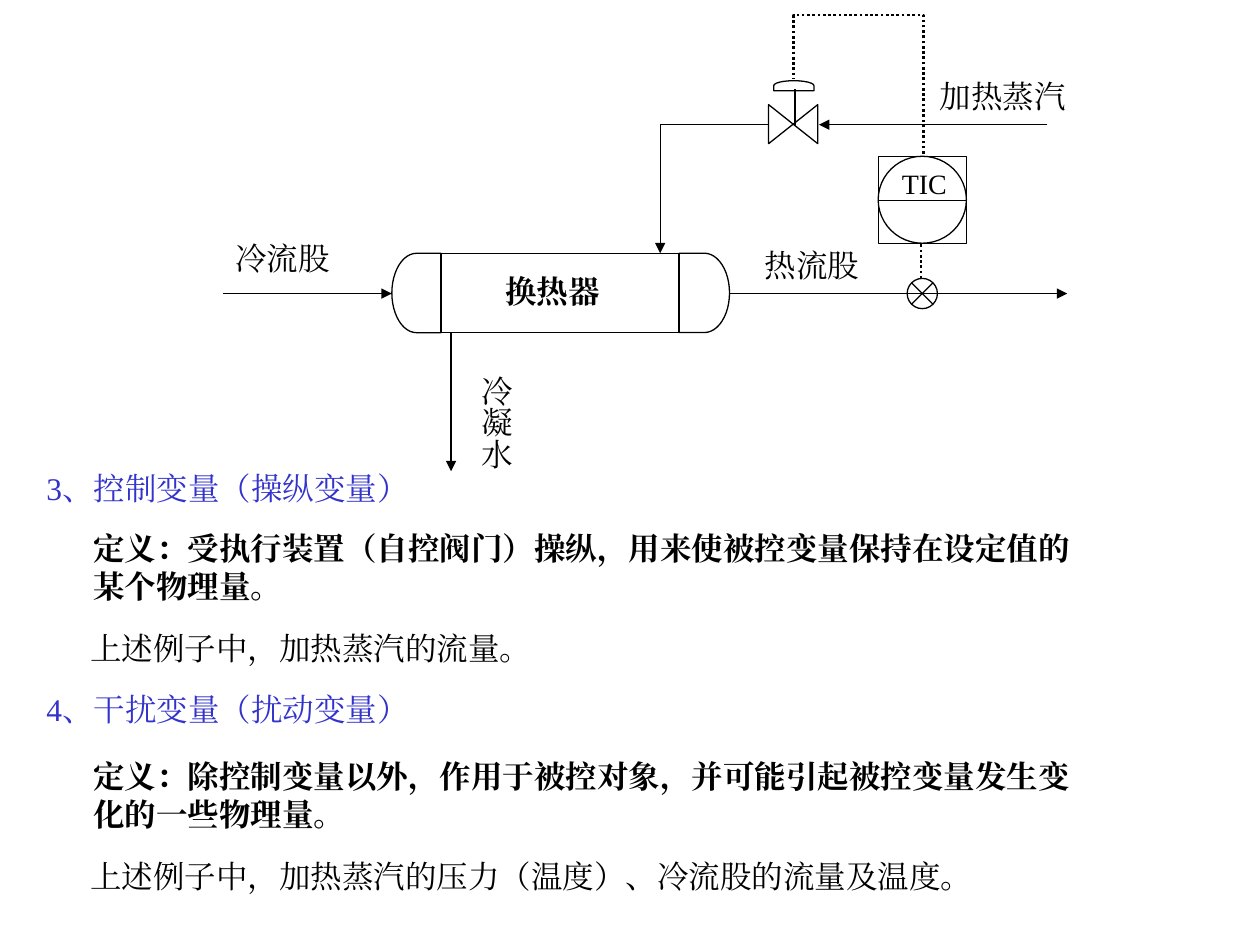
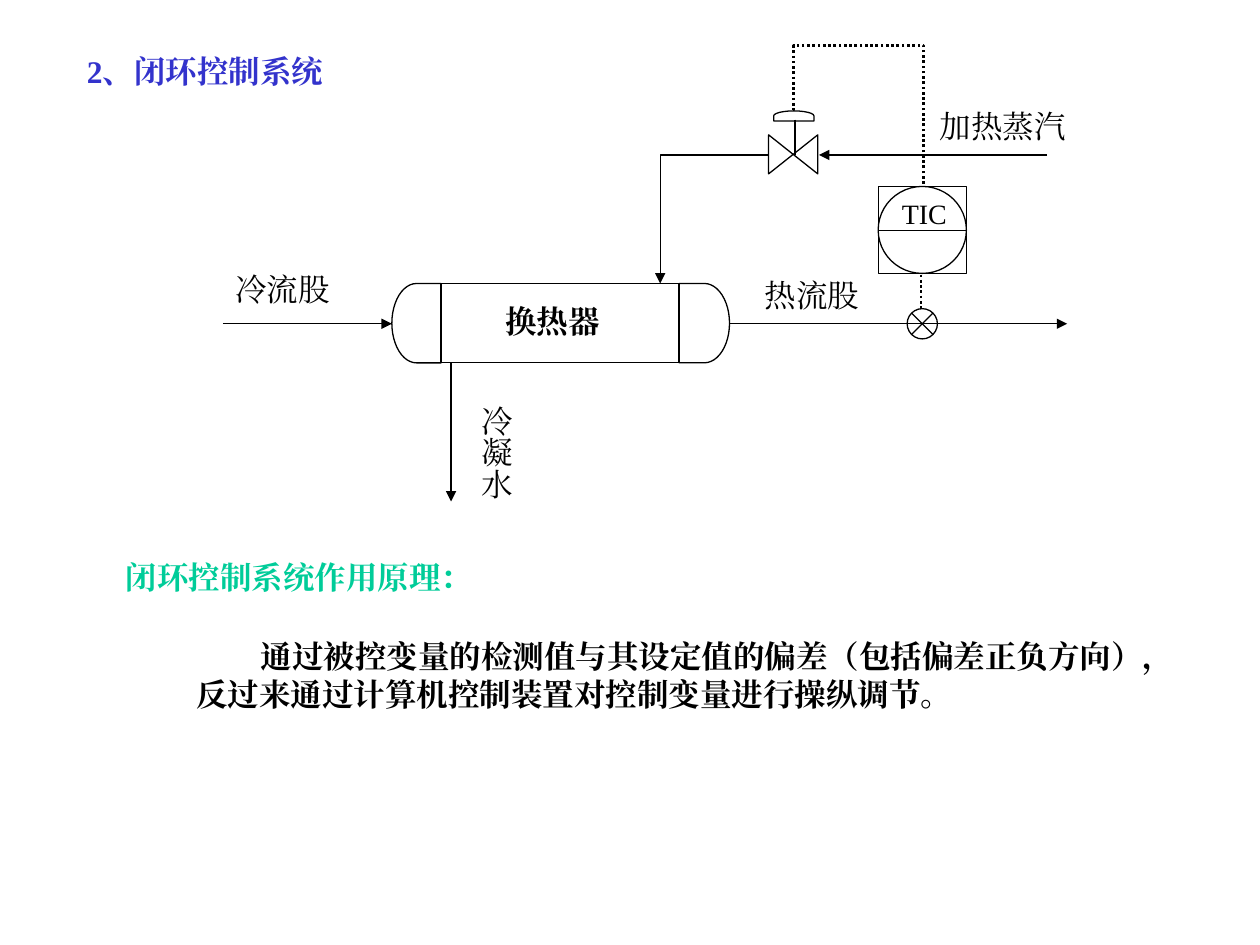
import dataclasses
import typing

import lxml.etree
import pptx
import pptx.dml.color
import pptx.enum.dml
import pptx.enum.shapes
import pptx.enum.text
import pptx.oxml.ns
import pptx.util

Inches = pptx.util.Inches
SHAPE = pptx.enum.shapes.MSO_SHAPE
FONT = "Times New Roman"
BLACK = "000000"
BLUE = "3333CC"
GREEN = "00CC99"
TITLE_ONLY, BLANK = 5, 6


def colour(value):
    return pptx.dml.color.RGBColor.from_string(value)


def add_element(parent, tag, **attributes):
    return lxml.etree.SubElement(parent, pptx.oxml.ns.qn(tag), **attributes)


def style_line(item, dotted=False, arrow=False):
    item.line.color.rgb = colour(BLACK)
    item.line.width = pptx.util.Pt(1.5 if dotted else 0.75)
    if dotted:
        item.line.dash_style = pptx.enum.dml.MSO_LINE.ROUND_DOT
    if arrow:
        add_element(item.line._get_or_add_ln(), "a:tailEnd", type="triangle")


def write_text(box, text, size=18, bold=False, ink=BLACK, indent=0, wrap=True):
    frame = box.text_frame
    frame.word_wrap = wrap
    frame.vertical_anchor = pptx.enum.text.MSO_ANCHOR.TOP
    para = frame.paragraphs[0]
    para.alignment = pptx.enum.text.PP_ALIGN.LEFT
    if indent:
        para._p.get_or_add_pPr().set("indent", str(Inches(indent)))
    span = para.add_run()
    span.text = text
    span.font.size = pptx.util.Pt(size)
    span.font.bold = bold
    span.font.color.rgb = colour(ink)
    span.font.name = FONT
    properties = span._r.get_or_add_rPr()
    properties.set("lang", "zh-CN")
    add_element(properties, "a:ea", typeface=FONT)


@dataclasses.dataclass
class Region:
    shapes: typing.Any
    left: float
    top: float

    def inner(self, left, top):
        return Region(self.shapes, self.left + left, self.top + top)

    def point(self, x, y):
        return Inches(self.left + x), Inches(self.top + y)

    def shape(self, kind, left, top, width, height, rotation=0):
        item = self.shapes.add_shape(
            kind, *self.point(left, top), Inches(width), Inches(height))
        item.rotation = rotation
        item.fill.background()
        item.shadow.inherit = False
        style_line(item)

    def line(self, start, end, **look):
        connector = self.shapes.add_connector(
            pptx.enum.shapes.MSO_CONNECTOR.STRAIGHT, *self.point(*start), *self.point(*end))
        style_line(connector, **look)
        add_element(connector._element.spPr, "a:effectLst")

    def route(self, start, *corners, **look):
        builder = self.shapes.build_freeform(*self.point(*start))
        builder.add_line_segments([self.point(*corner) for corner in corners], close=False)
        item = builder.convert_to_shape()
        item.fill.background()
        item.shadow.inherit = False
        style_line(item, **look)

    def text(self, text, left, top, width, height=0.4, **look):
        box = self.shapes.add_textbox(
            *self.point(left, top), Inches(width), Inches(height))
        write_text(box, text, **look)
        return box


def draw_exchanger(region):
    region.shape(SHAPE.FLOWCHART_DELAY, 0, 0, 0.39, 0.63, 180)
    region.shape(SHAPE.FLOWCHART_DELAY, 2.28, 0, 0.4, 0.63)
    region.shape(SHAPE.RECTANGLE, 0.39, 0, 1.89, 0.63)
    region.text("换热器", 0.8, 0.1, 1.02, bold=True)


def draw_valve(region):
    region.shape(SHAPE.FLOWCHART_COLLATE, 0.04, 0.15, 0.31, 0.39, 270)
    region.line((0.21, 0.07), (0.21, 0.35))
    region.shape(SHAPE.FLOWCHART_DELAY, 0.16, -0.12, 0.08, 0.32, 270)


def draw_controller(region):
    for kind in (SHAPE.RECTANGLE, SHAPE.OVAL):
        region.shape(kind, 0, 0, 0.7, 0.69)
    region.line((0, 0.35), (0.7, 0.35))
    region.text("TIC", 0.09, 0.03, 0.56, 0.37, size=16, wrap=False)


def draw_streams(region):
    for start, end in (
        ((0, 2.21), (1.34, 2.21)),
        ((4.02, 2.21), (6.7, 2.21)),
        ((6.54, 0.87), (4.73, 0.87)),
        ((1.81, 2.52), (1.81, 3.62)),
    ):
        region.line(start, end, arrow=True)
    region.route((4.33, 0.87), (3.47, 0.87), (3.47, 1.89), arrow=True)
    for label, left, top, width in (
        ("冷流股", 0, 1.73, 1.18),
        ("热流股", 4.2, 1.78, 1.18),
        ("加热蒸汽", 5.59, 0.44, 1.27),
    ):
        region.text(label, left, top, width)
    condensate = region.text("冷凝水", 1.87, 2.76, 0.5, 1.02)
    frame = condensate.text_frame
    frame.margin_left = frame.margin_right = Inches(0.05)
    frame.margin_top = frame.margin_bottom = Inches(0.1)
    frame._txBody.bodyPr.set("vert", "eaVert")


def draw_signals(region):
    region.shape(SHAPE.FLOWCHART_SUMMING_JUNCTION, 5.43, 2.09, 0.24, 0.24)
    region.line((5.54, 1.82), (5.54, 2.1), dotted=True)
    region.route((5.56, 1.1), (5.56, 0), (4.53, 0), (4.53, 0.51), dotted=True)


def draw_process(page, left, top):
    region = Region(page.shapes.add_group_shape().shapes, left, top)
    draw_exchanger(region.inner(1.34, 1.89))
    draw_streams(region)
    draw_valve(region.inner(4.33, 0.52))
    draw_controller(region.inner(5.2, 1.12))
    draw_signals(region)


def write_variable(region, heading, definition, example, offset):
    region.text(heading, 0, 0, 6.77, ink=BLUE)
    region.text(definition, 0.37, offset, 7.98, 0.7, bold=True)
    region.text(example, 0.35, offset + 0.79, 7.6)


def build_variables_page(deck):
    page = deck.slides.add_slide(deck.slide_layouts[BLANK])
    draw_process(page, 1.77, 0.12)
    write_variable(
        Region(page.shapes, 0.27, 3.67),
        "3、控制变量（操纵变量）",
        "定义：受执行装置（自控阀门）操纵，用来使被控变量保持在设定值的某个物理量。",
        "上述例子中，加热蒸汽的流量。",
        0.48)
    write_variable(
        Region(page.shapes, 0.27, 5.43),
        "4、干扰变量（扰动变量）",
        "定义：除控制变量以外，作用于被控对象，并可能引起被控变量发生变化的一些物理量。",
        "上述例子中，加热蒸汽的压力（温度）、冷流股的流量及温度。",
        0.53)


def build_closed_loop_page(deck):
    page = deck.slides.add_slide(deck.slide_layouts[TITLE_ONLY])
    title = page.shapes.title
    title.left, title.top = Inches(0.59), Inches(0.36)
    title.width, title.height = Inches(3.31), Inches(0.4)
    write_text(title, "2、闭环控制系统", bold=True, ink=BLUE)
    draw_process(page, 1.77, 0.36)
    principle = Region(page.shapes, 0.9, 4.38)
    principle.text("闭环控制系统作用原理：", 0, 0, 4.8, bold=True, ink=GREEN)
    principle.text(
        "通过被控变量的检测值与其设定值的偏差（包括偏差正负方向），"
        "反过来通过计算机控制装置对控制变量进行操纵调节。",
        0.56, 0.63, 8.11, 0.7, bold=True, indent=0.51)


def main():
    deck = pptx.Presentation()
    deck.slide_width, deck.slide_height = Inches(10), Inches(7.5)
    build_variables_page(deck)
    build_closed_loop_page(deck)
    deck.save("out.pptx")


if __name__ == "__main__":
    main()
